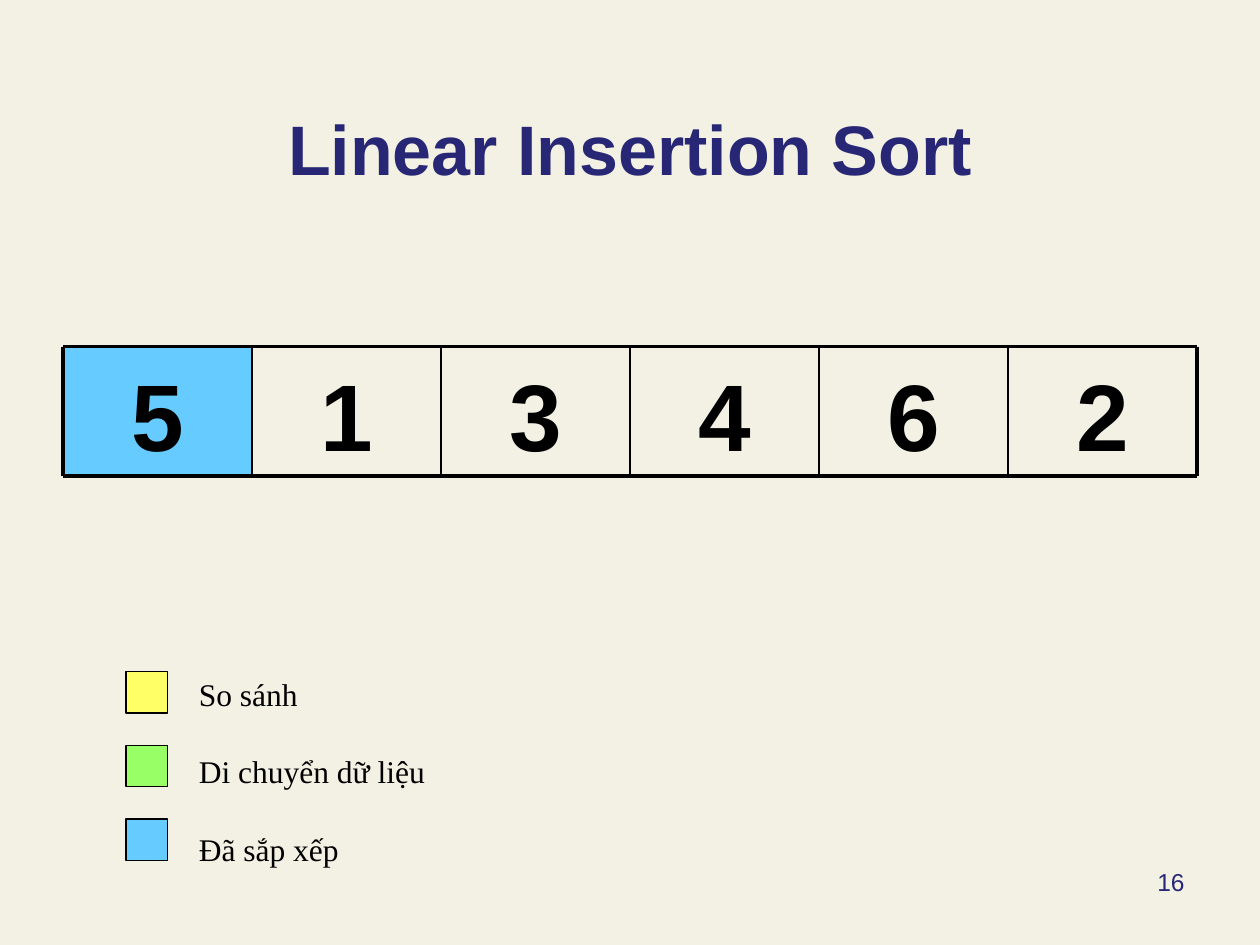
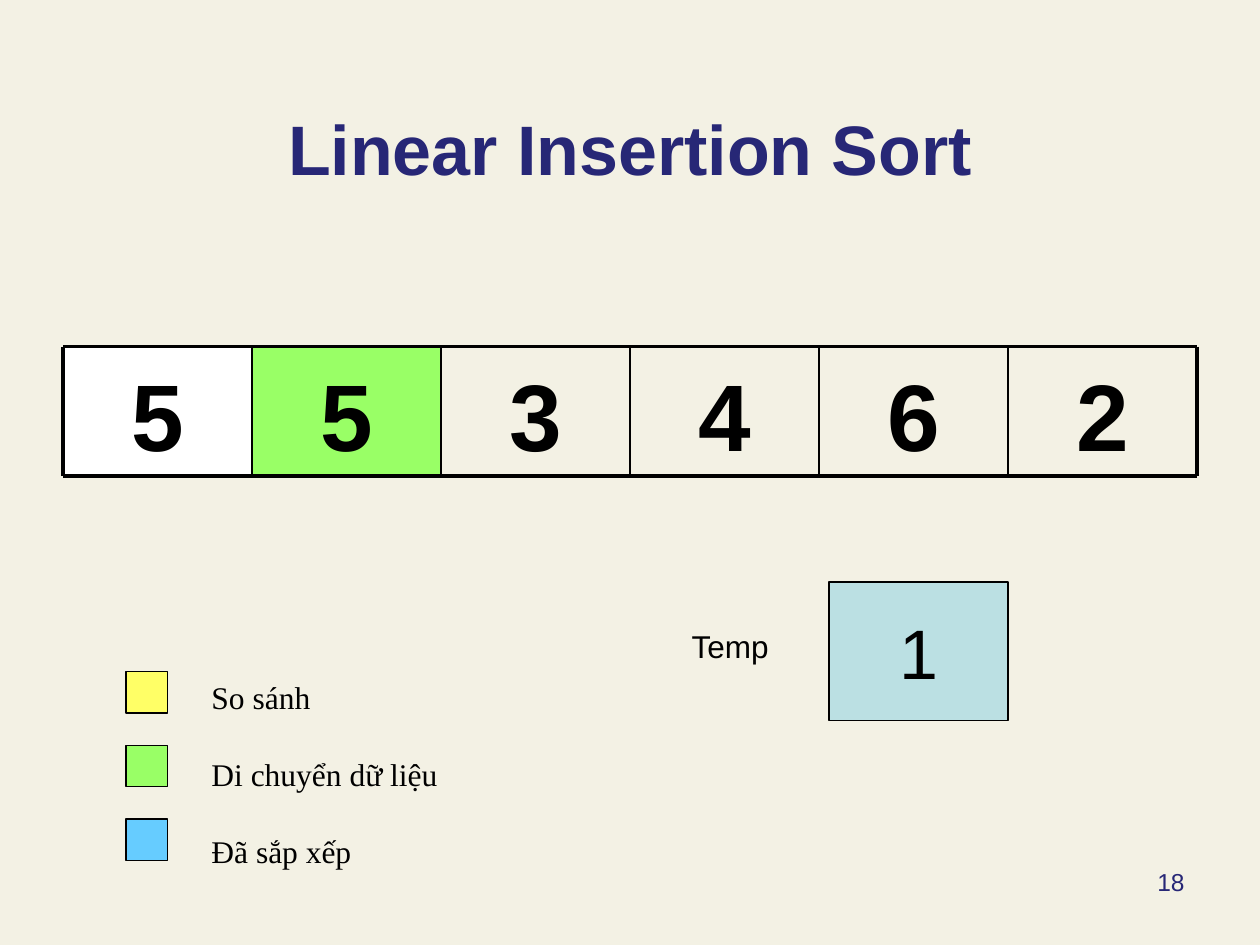
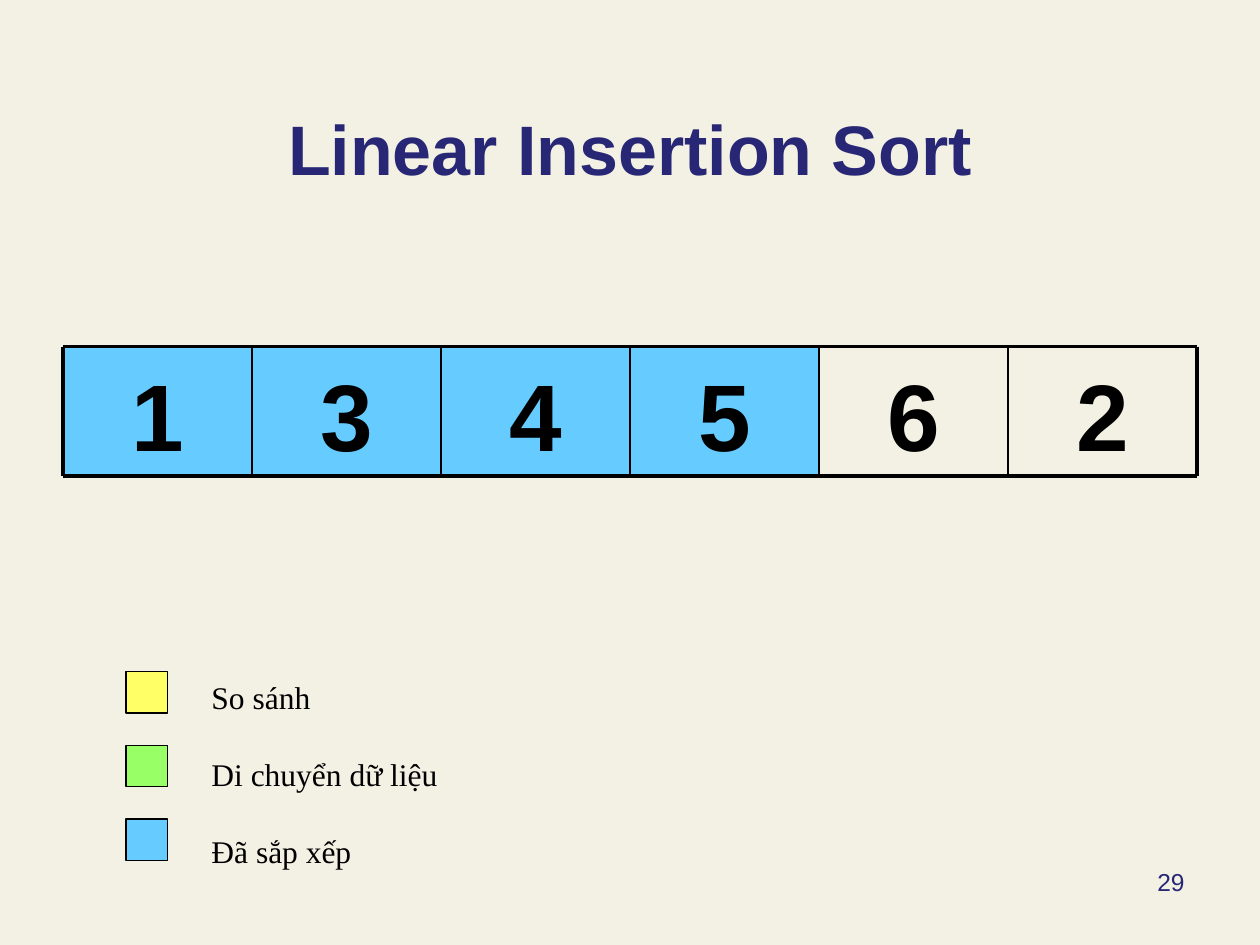
from lxml.etree import SubElement
from pptx import Presentation
from pptx.dml.color import RGBColor
from pptx.enum.shapes import MSO_CONNECTOR, MSO_SHAPE
from pptx.enum.text import MSO_ANCHOR, PP_ALIGN
from pptx.oxml.ns import qn
from pptx.util import Inches, Pt

CREAM = RGBColor(0xF3, 0xF1, 0xE4)
NAVY = RGBColor(0x27, 0x27, 0x76)
BLACK = RGBColor(0x00, 0x00, 0x00)
WHITE = RGBColor(0xFF, 0xFF, 0xFF)
YELLOW = RGBColor(0xFF, 0xFF, 0x66)
GREEN = RGBColor(0x99, 0xFF, 0x66)
BLUE = RGBColor(0x66, 0xCC, 0xFF)
TEAL = RGBColor(0xBB, 0xE0, 0xE3)

TITLE = "Linear Insertion Sort"
LEGEND = [("So sánh", YELLOW), ("Di chuyển dữ liệu", GREEN), ("Đã sắp xếp", BLUE)]

# fills lists the colours of the leading cells; the other cells stay clear
STEPS = [
    {"number": "16", "values": "513462", "fills": [BLUE], "legend_at": (1.48, 5.31)},
    {"number": "18", "values": "553462", "fills": [WHITE, GREEN],
     "legend_at": (1.58, 5.33), "temp": "1"},
    {"number": "29", "values": "134562", "fills": [BLUE] * 4, "legend_at": (1.58, 5.33)},
]

ARRAY_LEFT, ARRAY_TOP = 0.5, 2.75
CELL_WIDTH, CELL_HEIGHT = 1.5, 1.03
SWATCH_LEFT, SWATCH_TOP, SWATCH_SIZE, SWATCH_PITCH = 1, 5.33, 0.33, 0.585


def write(shape, lines, size, color=BLACK, font="Arial", bold=False,
          align=PP_ALIGN.LEFT, anchor=MSO_ANCHOR.TOP, gap=0):
    frame = shape.text_frame
    frame.word_wrap = True
    frame.vertical_anchor = anchor
    frame.text = "\n".join(lines)
    for index, para in enumerate(frame.paragraphs):
        para.alignment = align
        para.space_before = Pt(gap if index else 0)
        para.font.name = font
        para.font.size = Pt(size)
        para.font.bold = bold
        para.font.color.rgb = color


def add_text(page, area, lines, size, **style):
    box = page.shapes.add_textbox(*map(Inches, area))
    write(box, lines, size, **style)


def add_rectangle(page, area, fill, outlined=True):
    box = page.shapes.add_shape(MSO_SHAPE.RECTANGLE, *map(Inches, area))
    box.shadow.inherit = False
    box.fill.solid()
    box.fill.fore_color.rgb = fill
    if outlined:
        box.line.color.rgb = BLACK
        box.line.width = Pt(0.75)
    else:
        box.line.fill.background()
    return box


def add_line(page, start, end, width):
    line = page.shapes.add_connector(
        MSO_CONNECTOR.STRAIGHT, *map(Inches, start + end))
    line.line.color.rgb = BLACK
    line.line.width = Pt(width)
    SubElement(line._element.spPr, qn("a:effectLst"))


def add_array(page, values, fills):
    count = len(values)
    edges = [ARRAY_LEFT + CELL_WIDTH * index for index in range(count + 1)]
    bottom = ARRAY_TOP + CELL_HEIGHT
    style = {"bold": True, "align": PP_ALIGN.CENTER, "anchor": MSO_ANCHOR.BOTTOM}
    for index, value in enumerate(values):
        area = (edges[index], ARRAY_TOP, CELL_WIDTH, CELL_HEIGHT)
        if index < len(fills):
            cell = add_rectangle(page, area, fills[index], outlined=False)
            write(cell, [value], 54, **style)
        else:
            add_text(page, area, [value], 54, **style)
    for y in (ARRAY_TOP, bottom):
        add_line(page, (edges[0], y), (edges[-1], y), 2.25)
    for index, x in enumerate(edges):
        add_line(page, (x, ARRAY_TOP), (x, bottom), 2.25 if index in (0, count) else 1)


def add_legend(page, labels_at):
    for index, (label, color) in enumerate(LEGEND):
        top = SWATCH_TOP + index * SWATCH_PITCH
        add_rectangle(page, (SWATCH_LEFT, top, SWATCH_SIZE, SWATCH_SIZE), color)
    add_text(page, (*labels_at, 2.19, 1.62), [label for label, color in LEGEND], 18,
             font="Times New Roman", gap=22.5)


def add_temp(page, value):
    box = add_rectangle(page, (6.58, 4.62, 1.42, 1.1), TEAL)
    write(box, [value], 40, align=PP_ALIGN.CENTER, anchor=MSO_ANCHOR.MIDDLE)
    add_text(page, (5.39, 4.93, 1.02, 0.4), ["Temp"], 18)


def add_step(deck, step):
    page = deck.slides.add_slide(deck.slide_layouts[6])
    add_text(page, (0.5, 0.3, 9, 1.25), [TITLE], 40, color=NAVY, bold=True,
             align=PP_ALIGN.CENTER, anchor=MSO_ANCHOR.BOTTOM)
    add_text(page, (7.17, 6.83, 2.33, 0.52), [step["number"]], 14, color=NAVY,
             align=PP_ALIGN.RIGHT)
    add_array(page, step["values"], step["fills"])
    add_legend(page, step["legend_at"])
    if "temp" in step:
        add_temp(page, step["temp"])


def main():
    deck = Presentation()
    deck.slide_width, deck.slide_height = Inches(10), Inches(7.5)
    background = deck.slide_master.background.fill
    background.solid()
    background.fore_color.rgb = CREAM
    for step in STEPS:
        add_step(deck, step)
    deck.save("out.pptx")


if __name__ == "__main__":
    main()
